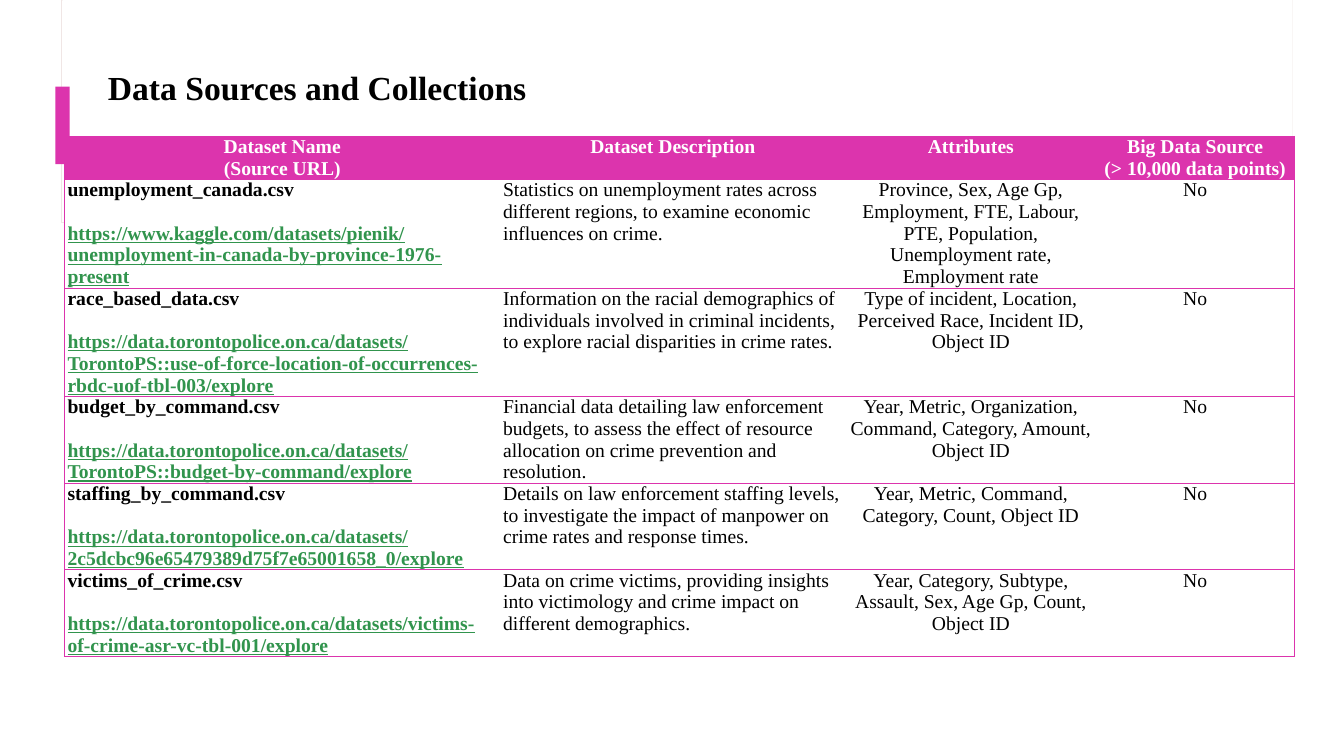
from dataclasses import dataclass

from pptx import Presentation, util as u
from pptx.dml import color
from pptx.enum import shapes, text
from pptx.oxml import parse_xml
from pptx.oxml.ns import nsdecls

FONT = "Times New Roman"
PINK, GREEN, BLACK, WHITE, BLUSH = "DC34AD", "31944D", "000000", "FFFFFF", "F0E6E5"
CENTER, LEFT = text.PP_ALIGN.CENTER, text.PP_ALIGN.LEFT
POLICE = "https://data.torontopolice.on.ca/datasets/"


@dataclass
class Panel:
    left: float
    top: float
    width: float
    height: float
    fill: str
    line: str | None = None


@dataclass
class Dataset:
    name: str
    url: str
    description: str
    attributes: str
    height: float
    big: str = "No"


@dataclass
class Line:
    words: str
    color: str = BLACK
    bold: bool = False
    underline: bool = False
    space_before: float = 0


PANELS = [
    Panel(0.61, 0, 12.21, 2.21, WHITE, BLUSH),
    Panel(0.62, 0, 12.2, 2.2, WHITE),
    Panel(0.55, 0.86, 0.14, 0.77, PINK),
]
COLUMN_WIDTHS = [4.32, 3.43, 2.48, 1.97]
HEADER_HEIGHT = 0.43
HEADINGS = [
    ["Dataset Name", "(Source URL)"],
    ["Dataset Description"],
    ["Attributes"],
    ["Big Data Source", "(> 10,000 data points)"],
]
DATASETS = [
    Dataset("unemployment_canada.csv",
            "https://www.kaggle.com/datasets/pienik/unemployment-in-canada-by-province-1976-present",
            "Statistics on unemployment rates across different regions, "
            "to examine economic influences on crime.",
            "Province, Sex, Age Gp, Employment, FTE, Labour, PTE, Population, "
            "Unemployment rate, Employment rate", 1.07),
    Dataset("race_based_data.csv",
            POLICE + "TorontoPS::use-of-force-location-of-occurrences-rbdc-uof-tbl-003/explore",
            "Information on the racial demographics of individuals involved in "
            "criminal incidents, to explore racial disparities in crime rates.",
            "Type of incident, Location, Perceived Race, Incident ID, Object ID", 1.07),
    Dataset("budget_by_command.csv",
            POLICE + "TorontoPS::budget-by-command/explore",
            "Financial data detailing law enforcement budgets, to assess the effect "
            "of resource allocation on crime prevention and resolution.",
            "Year, Metric, Organization, Command, Category, Amount, Object ID", 0.86),
    Dataset("staffing_by_command.csv",
            POLICE + "2c5dcbc96e65479389d75f7e65001658_0/explore",
            "Details on law enforcement staffing levels, to investigate the impact "
            "of manpower on crime rates and response times.",
            "Year, Metric, Command, Category, Count, Object ID", 0.86),
    Dataset("victims_of_crime.csv",
            POLICE + "victims-of-crime-asr-vc-tbl-001/explore",
            "Data on crime victims, providing insights into victimology and crime "
            "impact on different demographics.",
            "Year, Category, Subtype, Assault, Sex, Age Gp, Count, Object ID", 0.86),
]


def rgb(value: str) -> color.RGBColor:
    return color.RGBColor.from_string(value)


def style_font(font, size: float, line: Line) -> None:
    font.name, font.size = FONT, u.Pt(size)
    font.bold, font.underline = line.bold, line.underline
    font.color.rgb = rgb(line.color)


def draw_panel(slide, panel: Panel) -> None:
    box = slide.shapes.add_shape(
        shapes.MSO_SHAPE.RECTANGLE,
        *map(u.Inches, (panel.left, panel.top, panel.width, panel.height)))
    box.shadow.inherit = False
    box.fill.solid()
    box.fill.fore_color.rgb = rgb(panel.fill)
    if panel.line:
        box.line.color.rgb = rgb(panel.line)
        box.line.width = u.Pt(0.75)
    else:
        box.line.fill.background()


def draw_title(slide, words: str) -> None:
    title = slide.shapes.title
    title.left, title.top, title.width, title.height = map(u.Inches, (0.97, 0.61, 11.12, 0.55))
    frame = title.text_frame
    frame.text = words
    frame.word_wrap = True
    frame.vertical_anchor = text.MSO_ANCHOR.MIDDLE
    heading = frame.paragraphs[0]
    heading.alignment, heading.line_spacing = LEFT, 0.9
    style_font(heading.runs[0].font, 24, Line(words, bold=True))
    slide.shapes._spTree.append(title._element)


def set_borders(cell, sides: str) -> None:
    properties = cell._tc.get_or_add_tcPr()
    for side in "LRTB":
        paint = (f'<a:solidFill><a:srgbClr val="{PINK}"/></a:solidFill>'
                 if side in sides else "<a:noFill/>")
        properties.append(parse_xml(
            f'<a:ln{side} {nsdecls("a")} w="{u.Pt(0.5)}">{paint}</a:ln{side}>'))


def fill_cell(cell, lines: list[Line], align, fill: str, sides: str) -> None:
    set_borders(cell, sides)
    cell.fill.solid()
    cell.fill.fore_color.rgb = rgb(fill)
    cell.margin_left = cell.margin_right = u.Inches(0.03)
    cell.margin_top = cell.margin_bottom = 0
    cell.text_frame.text = "\n".join(line.words for line in lines)
    for paragraph, line in zip(cell.text_frame.paragraphs, lines):
        paragraph.alignment = align
        if line.space_before:
            paragraph.space_before = u.Pt(line.space_before)
        style_font(paragraph.runs[0].font, 14, line)


def dataset_cells(dataset: Dataset) -> list[list[Line]]:
    return [
        [Line(dataset.name, bold=True),
         Line(dataset.url, GREEN, True, True, space_before=15.5)],
        [Line(dataset.description)],
        [Line(dataset.attributes)],
        [Line(dataset.big)],
    ]


def draw_table(slide) -> None:
    heights = [HEADER_HEIGHT] + [dataset.height for dataset in DATASETS]
    table = slide.shapes.add_table(
        len(heights), len(COLUMN_WIDTHS), u.Inches(0.64), u.Inches(1.35),
        u.Inches(sum(COLUMN_WIDTHS)), u.Inches(sum(heights))).table
    for column, width in zip(table.columns, COLUMN_WIDTHS):
        column.width = u.Inches(width)
    for row, height in zip(table.rows, heights):
        row.height = u.Inches(height)
    header = [[Line(words, WHITE, True) for words in heading] for heading in HEADINGS]
    grid = [header] + [dataset_cells(dataset) for dataset in DATASETS]
    outer_sides = {0: "LTB", len(COLUMN_WIDTHS) - 1: "RTB"}
    for r, cells in enumerate(grid):
        for c, lines in enumerate(cells):
            align = LEFT if r and c < 2 else CENTER
            fill_cell(table.cell(r, c), lines, align, WHITE if r else PINK,
                      outer_sides.get(c, "TB"))


def main() -> None:
    deck = Presentation()
    deck.slide_width, deck.slide_height = u.Inches(13.33), u.Inches(7.5)
    slide = deck.slides.add_slide(deck.slide_layouts[5])
    for panel in PANELS:
        draw_panel(slide, panel)
    draw_title(slide, "Data Sources and Collections")
    draw_table(slide)
    deck.save("out.pptx")


if __name__ == "__main__":
    main()
